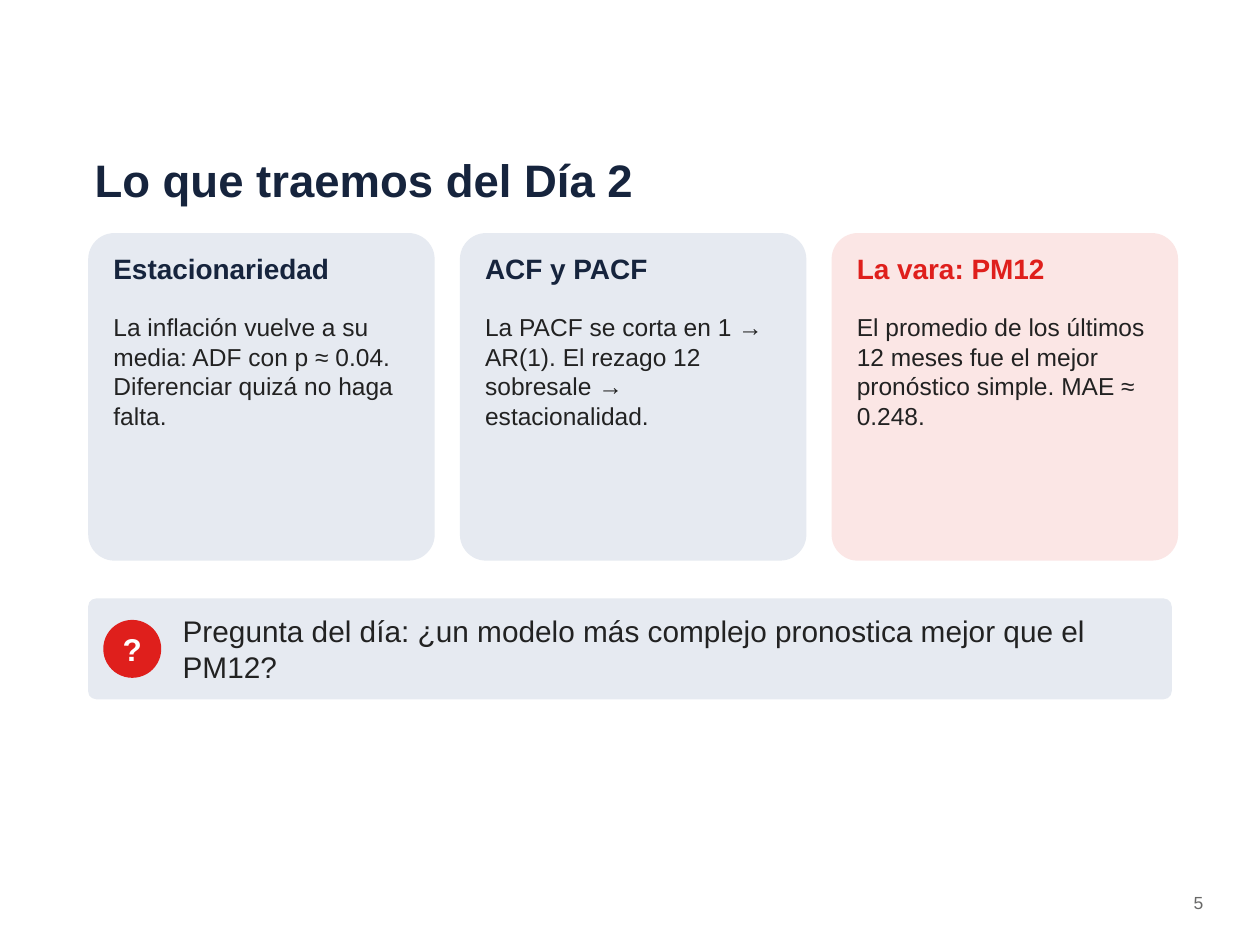
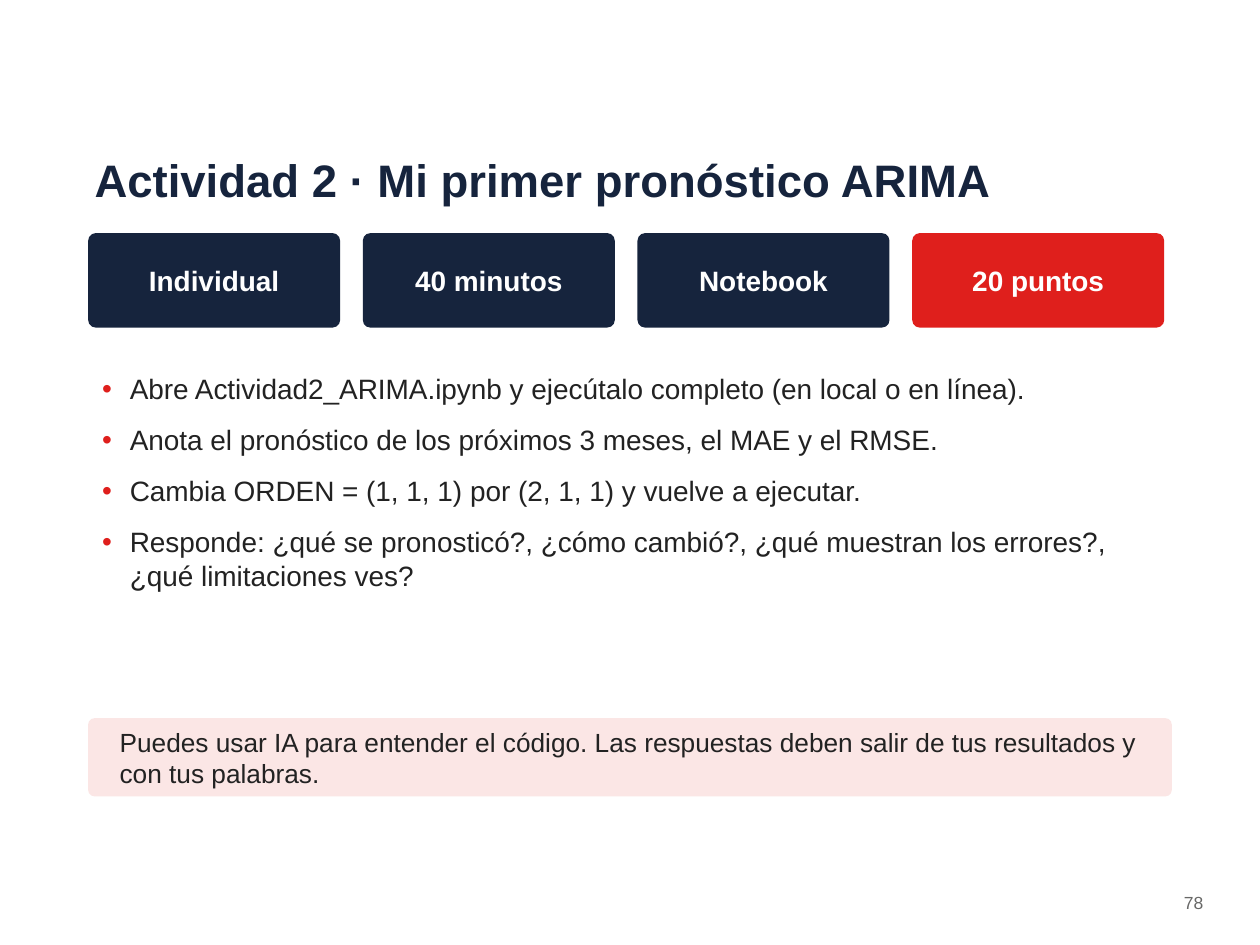
from lxml import etree
from pptx import Presentation
from pptx.dml.color import RGBColor
from pptx.enum.shapes import MSO_SHAPE
from pptx.enum.text import MSO_ANCHOR, MSO_AUTO_SIZE, PP_ALIGN
from pptx.oxml.ns import qn
from pptx.util import Pt

PX = 9144  # 100 px to the inch

NAVY = RGBColor(0x16, 0x24, 0x3D)
RED = RGBColor(0xDF, 0x1F, 0x1C)
INK = RGBColor(0x22, 0x22, 0x22)
GREY = RGBColor(0x68, 0x68, 0x67)
MIST = RGBColor(0xE6, 0xEA, 0xF1)
ROSE = RGBColor(0xFB, 0xE6, 0xE5)
WHITE = RGBColor(0xFF, 0xFF, 0xFF)

FONT = "Arial"
ROUND, OVAL = MSO_SHAPE.ROUNDED_RECTANGLE, MSO_SHAPE.OVAL
TOP, MIDDLE = MSO_ANCHOR.TOP, MSO_ANCHOR.MIDDLE
LEFT, CENTER, RIGHT = PP_ALIGN.LEFT, PP_ALIGN.CENTER, PP_ALIGN.RIGHT
FIXED = MSO_AUTO_SIZE.NONE
TITLE_ONLY, TITLE_BODY = 5, 1

EDGE, WIDE = 70, 860  # left margin and content width
ROW = 185             # top of the first row under the title


def emu(*sizes):
    return [size * PX for size in sizes]


def write(shape, text, size=16, color=INK, bold=False, align=LEFT,
          anchor=TOP, pad=(5, 3), after=4, bullet=None):
    """Fill a shape with one paragraph for each line of text."""
    frame = shape.text_frame
    frame.auto_size = FIXED
    frame.word_wrap = True
    frame.vertical_anchor = anchor
    frame.margin_left = frame.margin_right = pad[0] * PX
    frame.margin_top = frame.margin_bottom = pad[1] * PX
    frame.text = text
    for para in frame.paragraphs:
        if bullet:
            mark(para, bullet)
        para.alignment = align
        para.space_before, para.space_after = Pt(0), Pt(after)
        font = para.runs[0].font
        font.name, font.size, font.bold = FONT, Pt(size), bold
        font.color.rgb = color


def mark(para, color):
    """Give a paragraph a hanging bullet."""
    props = para._p.get_or_add_pPr()
    props.set("marL", str(28 * PX))
    props.set("indent", str(-22 * PX))
    tint = etree.SubElement(props, qn("a:buClr"))
    etree.SubElement(tint, qn("a:srgbClr"), val=str(color))
    etree.SubElement(props, qn("a:buChar"), char="•")


def label(slide, box, text, **style):
    write(slide.shapes.add_textbox(*emu(*box)), text, **style)


def panel(slide, box, fill, kind=ROUND):
    shape = slide.shapes.add_shape(kind, *emu(*box))
    if kind == ROUND:
        shape.adjustments[0] = 0.08
    shape.shadow.inherit = False
    shape.fill.solid()
    shape.fill.fore_color.rgb = fill
    shape.line.fill.background()
    return shape


def place(holder, box):
    holder.left, holder.top, holder.width, holder.height = emu(*box)
    return holder


def start(deck, layout, title, number):
    """Add a slide with its title and page number."""
    slide = deck.slides.add_slide(deck.slide_layouts[layout])
    write(place(slide.shapes.title, (EDGE, 105, WIDE, 75)), title,
          size=26, color=NAVY, bold=True, anchor=MIDDLE)
    label(slide, (900, 705, 60, 30), number, size=10, color=GREY, align=RIGHT)
    return slide


def card(slide, box, head, text, fill, color):
    x, y, w, h = box
    panel(slide, box, fill)
    label(slide, (x + 15, y + 12, w - 30, 45), head, color=color, bold=True)
    label(slide, (x + 15, y + 60, w - 30, h - 70), text, size=14)


def chip(slide, box, text, fill):
    write(panel(slide, box, fill), text, color=WHITE, bold=True,
          align=CENTER, anchor=MIDDLE)


def query(slide, box, text):
    """Band with a round question badge before its text."""
    x, y, w, h = box
    panel(slide, box, MIST)
    badge = panel(slide, (x + 12, y + 17, 46, 46), RED, OVAL)
    write(badge, "?", size=18, color=WHITE, bold=True, align=CENTER,
          anchor=MIDDLE, pad=(0, 0), after=0)
    label(slide, (x + 70, y, w - 80, h), text, size=17, anchor=MIDDLE)


def note(slide, box, text):
    x, y, w, h = box
    panel(slide, box, ROSE)
    label(slide, (x + 20, y, w - 40, h), text, size=15, anchor=MIDDLE)


def recap(deck):
    slide = start(deck, TITLE_ONLY, "Lo que traemos del Día 2", "5")
    cards = [
        ("Estacionariedad",
         "La inflación vuelve a su media: ADF con p ≈ 0.04. "
         "Diferenciar quizá no haga falta.", MIST, NAVY),
        ("ACF y PACF",
         "La PACF se corta en 1 → AR(1). El rezago 12 sobresale → "
         "estacionalidad.", MIST, NAVY),
        ("La vara: PM12",
         "El promedio de los últimos 12 meses fue el mejor pronóstico "
         "simple. MAE ≈ 0.248.", ROSE, RED),
    ]
    wide, gap = 275, 20
    for i, item in enumerate(cards):
        card(slide, (EDGE + i * (wide + gap), ROW, wide, 260), *item)
    query(slide, (EDGE, 475, WIDE, 80),
          "Pregunta del día: ¿un modelo más complejo pronostica mejor "
          "que el PM12?")


def task(deck):
    slide = start(deck, TITLE_BODY,
                  "Actividad 2 · Mi primer pronóstico ARIMA", "78")
    chips = [("Individual", NAVY), ("40 minutos", NAVY),
             ("Notebook", NAVY), ("20 puntos", RED)]
    wide, gap = 200, 18
    for i, item in enumerate(chips):
        chip(slide, (EDGE + i * (wide + gap), ROW, wide, 75), *item)
    steps = [
        "Abre Actividad2_ARIMA.ipynb y ejecútalo completo "
        "(en local o en línea).",
        "Anota el pronóstico de los próximos 3 meses, el MAE y el RMSE.",
        "Cambia ORDEN = (1, 1, 1) por (2, 1, 1) y vuelve a ejecutar.",
        "Responde: ¿qué se pronosticó?, ¿cómo cambió?, "
        "¿qué muestran los errores?, ¿qué limitaciones ves?",
    ]
    write(place(slide.placeholders[1], (EDGE, 290, WIDE, 250)),
          "\n".join(steps), pad=(5, 5), after=10, bullet=RED)
    note(slide, (EDGE, 570, WIDE, 62),
         "Puedes usar IA para entender el código. Las respuestas deben "
         "salir de tus resultados y con tus palabras.")


def main():
    deck = Presentation()
    deck.slide_width, deck.slide_height = emu(1000, 750)
    recap(deck)
    task(deck)
    deck.save("out.pptx")


if __name__ == "__main__":
    main()
